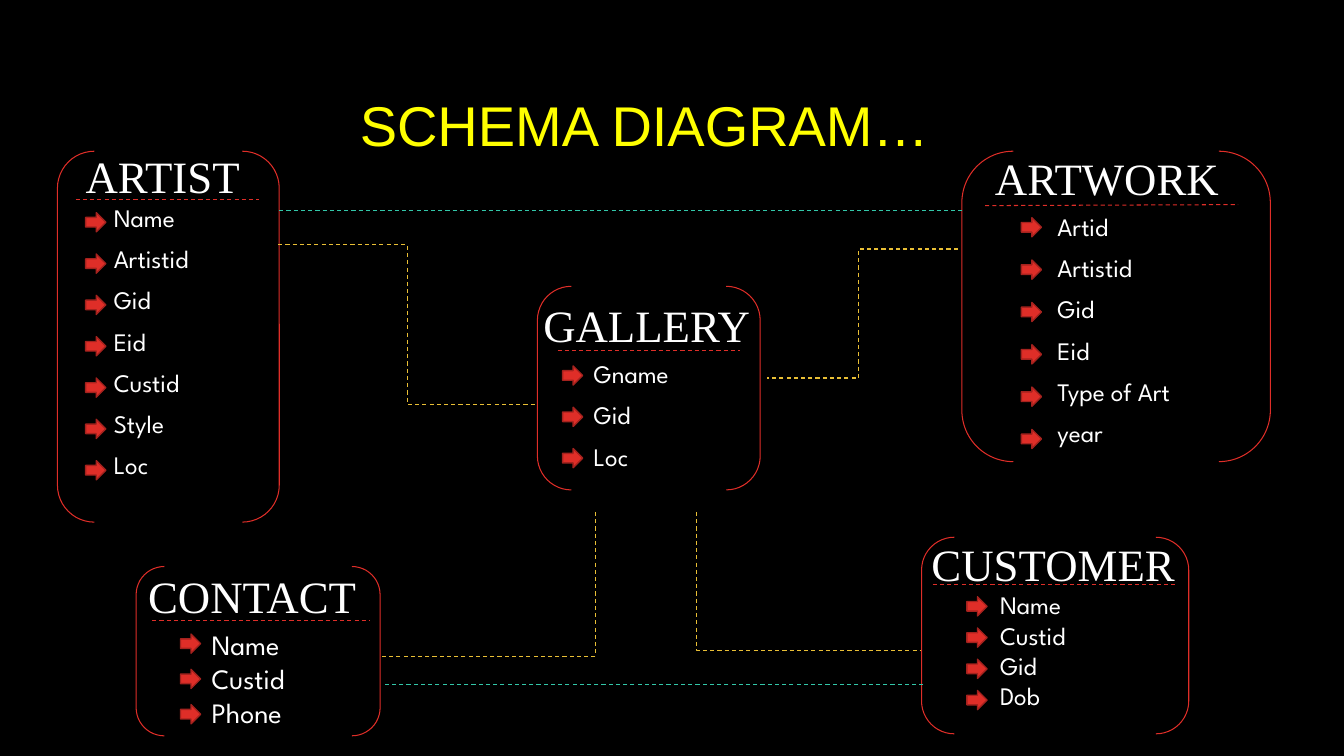
import pptx
import pptx.dml.color
import pptx.enum.dml
import pptx.enum.shapes
import pptx.enum.text
import pptx.oxml
import pptx.oxml.ns
import pptx.util

RGB = pptx.dml.color.RGBColor.from_string
SHAPE = pptx.enum.shapes.MSO_SHAPE
LINK = pptx.enum.shapes.MSO_CONNECTOR
ALIGN = pptx.enum.text.PP_ALIGN
ANCHOR = pptx.enum.text.MSO_ANCHOR
FIT = pptx.enum.text.MSO_AUTO_SIZE

THEME = {
    "back": RGB("000000"), "text": RGB("FFFFFF"), "title": RGB("FFFF00"),
    "red": RGB("DF2E28"), "dark red": RGB("A5221E"),
    "gold": RGB("E9BF35"), "teal": RGB("32C7A9"),
    "title font": {"name": "Arial", "size": pptx.util.Pt(40)},
    "head font": {"name": "Times New Roman", "size": pptx.util.Pt(32)},
    "list font": {"name": "League Spartan", "size": pptx.util.Pt(18)},
    "big list font": {"name": "League Spartan", "size": pptx.util.Pt(20)},
    "thin": pptx.util.Pt(0.75), "edge": pptx.util.Pt(1),
}
LOOSE = {"line_spacing": 0.9, "space_before": pptx.util.Pt(10)}
TIGHT = {}
GROW = {"auto_size": FIT.SHAPE_TO_FIT_TEXT}
GROW_NO_WRAP = {**GROW, "word_wrap": False}

prs = pptx.Presentation()
prs.slide_width = pptx.util.Inches(13.33)
prs.slide_height = pptx.util.Inches(7.5)
# Every length below counts columns and rows of this grid
COL = prs.slide_width / 13.33
ROW = prs.slide_height / 7.5

s = prs.slides.add_slide(prs.slide_layouts[6])
s.background.fill.solid()
s.background.fill.fore_color.rgb = THEME["back"]


def add_text(box, lines, font, color, para, frame):
    x, y, w, h = box
    tf = s.shapes.add_textbox(int(x * COL), int(y * ROW), int(w * COL), int(h * ROW)).text_frame
    for name, value in {"word_wrap": True, **frame}.items():
        setattr(tf, name, value)
    for i, line in enumerate(lines):
        p = tf.add_paragraph() if i else tf.paragraphs[0]
        for name, value in para.items():
            setattr(p, name, value)
        r = p.add_run()
        r.text = line
        for name, value in THEME[font].items():
            setattr(r.font, name, value)
        r.font.color.rgb = THEME[color]


def add_link(start, end, color, bend=None):
    """Dashed connector; bend is the share of its width where an elbow turns."""
    kind = LINK.STRAIGHT if bend is None else LINK.ELBOW
    c = s.shapes.add_connector(kind, int(start[0] * COL), int(start[1] * ROW),
                               int(end[0] * COL), int(end[1] * ROW))
    c.line.color.rgb = THEME[color]
    c.line.width = THEME["thin"]
    c.line.dash_style = pptx.enum.dml.MSO_LINE.DASH
    sp_pr = c._element.spPr
    sp_pr.append(pptx.oxml.parse_xml("<a:effectLst %s/>" % pptx.oxml.ns.nsdecls("a")))
    if bend is not None:
        guides = sp_pr.prstGeom.get_or_add_avLst()
        guides.append(pptx.oxml.parse_xml('<a:gd %s name="adj1" fmla="val %d"/>' % (
            pptx.oxml.ns.nsdecls("a"), round(bend * 100000))))


add_text((0.13, 0.56, 9.18, 1.42), ["SCHEMA DIAGRAM…"], "title font", "title",
         {"alignment": ALIGN.RIGHT, "line_spacing": 0.9}, {"vertical_anchor": ANCHOR.MIDDLE})

# arrows: left, first top, pitch
entities = [
    {"name": "ARTIST", "fields": ["Name", "Artistid", "Gid", "Eid", "Custid", "Style", "Loc"],
     "frame": (0.57, 1.5, 2.2, 3.68), "head": (0.75, 0.03, 3.77, 2.04),
     "head para": LOOSE, "head fit": {"vertical_anchor": ANCHOR.BOTTOM},
     "rule": ((0.75, 1.98), (2.57, 1.98)), "list": (1.03, 1.99, 1.78, 3.08),
     "list font": "list font", "list para": LOOSE, "list fit": {},
     "arrows": (0.85, 2.11, 0.41)},
    {"name": "GALLERY", "fields": ["Gname", "Gid", "Loc"],
     "frame": (5.33, 2.84, 2.21, 2.02), "head": (5.29, 2.9, 2.26, 0.64),
     "head para": TIGHT, "head fit": GROW_NO_WRAP,
     "rule": ((5.53, 3.48), (7.34, 3.48)), "list": (5.79, 3.54, 1.25, 1.47),
     "list font": "list font", "list para": LOOSE, "list fit": {},
     "arrows": (5.58, 3.63, 0.41)},
    {"name": "ARTWORK", "fields": ["Artid", "Artistid", "Gid", "Eid", "Type of Art", "year"],
     "frame": (9.54, 1.5, 3.06, 3.08), "head": (9.77, 1.45, 2.6, 0.64),
     "head para": TIGHT, "head fit": GROW,
     "rule": ((9.77, 2.04), (12.28, 2.03)), "list": (10.39, 2.08, 1.66, 2.48),
     "list font": "list font", "list para": LOOSE, "list fit": {},
     "arrows": (10.13, 2.16, 0.42)},
    {"name": "CONTACT", "fields": ["Name", "Custid", "Phone"],
     "frame": (1.35, 5.62, 2.42, 1.68), "head": (1.37, 5.59, 2.46, 0.64),
     "head para": TIGHT, "head fit": GROW,
     "rule": ((1.51, 6.16), (3.66, 6.16)), "list": (2, 6.18, 1.67, 1.11),
     "list font": "big list font", "list para": TIGHT, "list fit": GROW,
     "arrows": (1.79, 6.29, 0.35)},
    {"name": "CUSTOMER", "fields": ["Name", "Custid", "Gid", "Dob"],
     "frame": (9.14, 5.33, 2.65, 1.95), "head": (9.14, 5.28, 2.72, 0.64),
     "head para": TIGHT, "head fit": GROW_NO_WRAP,
     "rule": ((9.25, 5.8), (11.68, 5.8)), "list": (9.82, 5.8, 1.26, 1.31),
     "list font": "list font", "list para": TIGHT, "list fit": GROW,
     "arrows": (9.59, 5.92, 0.31)},
]
for e in entities:
    add_text(e["head"], [e["name"]], "head font", "text", e["head para"], e["head fit"])
    add_text(e["list"], e["fields"], e["list font"], "text", e["list para"], e["list fit"])

    x, y, w, h = e["frame"]
    sp = s.shapes.add_shape(SHAPE.DOUBLE_BRACKET, int(x * COL), int(y * ROW),
                            int(w * COL), int(h * ROW))
    sp.shadow.inherit = False
    sp.fill.background()
    sp.line.color.rgb = THEME["red"]
    sp.line.width = THEME["thin"]

    add_link(*e["rule"], "red")

    x, top, pitch = e["arrows"]
    for i in range(len(e["fields"])):
        sp = s.shapes.add_shape(SHAPE.RIGHT_ARROW, int(x * COL), int((top + i * pitch) * ROW),
                                int(0.2 * COL), int(0.19 * ROW))
        sp.shadow.inherit = False
        sp.fill.solid()
        sp.fill.fore_color.rgb = THEME["red"]
        sp.line.color.rgb = THEME["dark red"]
        sp.line.width = THEME["edge"]

links = [
    ((2.76, 2.43), (5.32, 4.01), "gold", 0.5),    # artist to gallery
    ((9.5, 2.47), (7.61, 3.75), "gold", 0.52),    # artwork to gallery
    ((5.91, 5.08), (3.78, 6.51), "gold", 0),      # gallery to contact
    ((6.91, 5.08), (9.14, 6.45), "gold", 0),      # gallery to customer
    ((9.16, 6.79), (3.8, 6.79), "teal", 0.5),     # customer to contact
    ((2.77, 2.09), (9.54, 2.09), "teal", None),   # artist to artwork
]
for link in links:
    add_link(*link)

prs.save("out.pptx")
